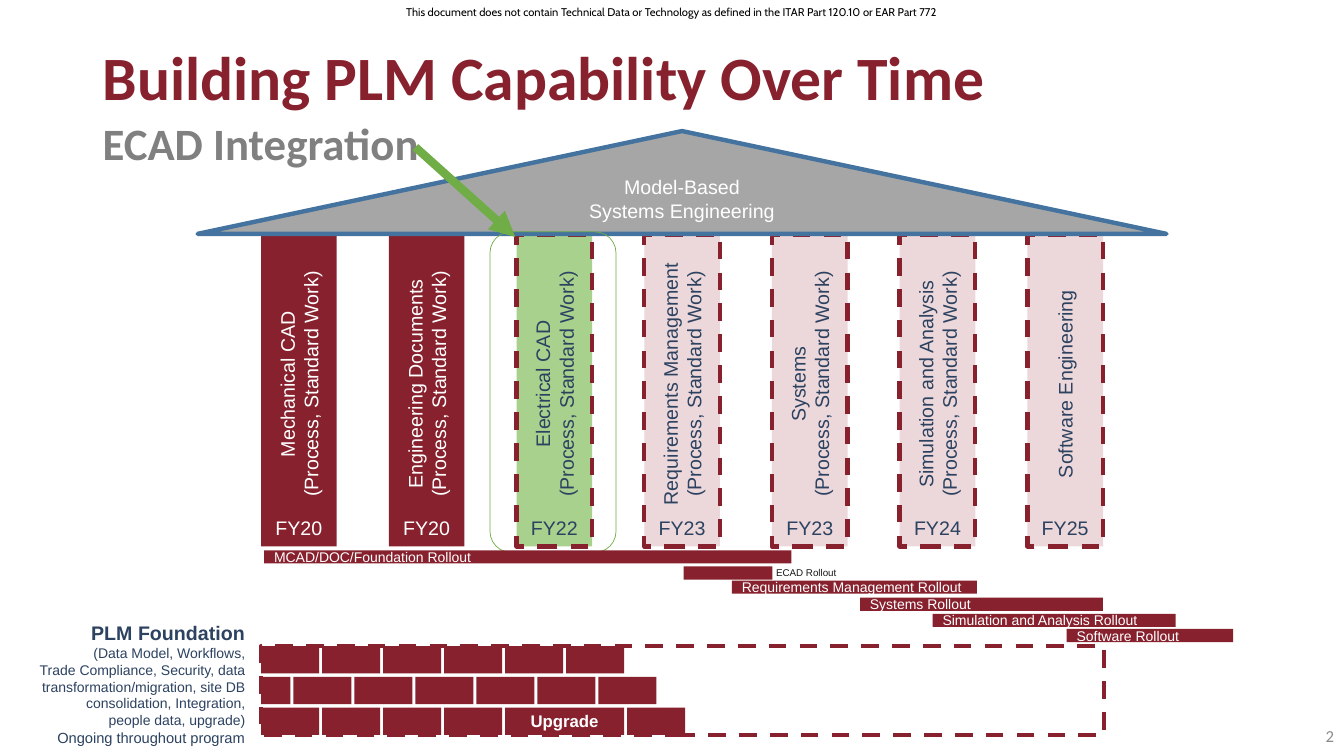
from lxml.etree import SubElement
from pptx import Presentation
from pptx.dml.color import RGBColor
from pptx.enum.dml import MSO_LINE
from pptx.enum.shapes import MSO_CONNECTOR, MSO_SHAPE
from pptx.enum.text import MSO_ANCHOR, MSO_AUTO_SIZE, PP_ALIGN
from pptx.oxml.ns import qn
from pptx.util import Inches, Pt

MAROON, NAVY, WHITE, PINK = "87212E", "2C4260", "FFFFFF", "ECD8DA"
GREEN, LIGHT_GREEN = "70AD47", "A9D18E"
LEFT, CENTER, RIGHT = PP_ALIGN.LEFT, PP_ALIGN.CENTER, PP_ALIGN.RIGHT
TOP, MIDDLE = MSO_ANCHOR.TOP, MSO_ANCHOR.MIDDLE

PROCESS = "(Process, Standard Work)"
PILLARS = [
    (["Mechanical CAD", PROCESS], "FY20", MAROON, WHITE, False),
    (["Engineering Documents", PROCESS], "FY20", MAROON, WHITE, False),
    (["Electrical CAD", PROCESS], "FY22", LIGHT_GREEN, NAVY, True),
    (["Requirements Management", PROCESS], "FY23", PINK, NAVY, True),
    (["Systems", PROCESS], "FY23", PINK, NAVY, True),
    (["Simulation and Analysis", PROCESS], "FY24", PINK, NAVY, True),
    (["Software Engineering"], "FY25", PINK, NAVY, True),
]
ROLLOUTS = [
    ("MCAD/DOC/Foundation Rollout", 0.03, 0, 5.23),
    ("", 4.19, 0.16, 0.88),
    ("Requirements Management Rollout", 4.67, 0.3, 2.43),
    ("Systems Rollout", 5.94, 0.47, 2.41),
    ("Simulation and Analysis Rollout", 6.66, 0.63, 2.41),
    ("Software Rollout", 7.99, 0.78, 1.65),
]
BRICK_COURSES = [[1] * 6, [0.53] + [1] * 6, [1] * 4 + [2, 1]]
FOUNDATION_SCOPE = """(Data Model, Workflows,
Trade Compliance, Security, data transformation/migration, site DB consolidation, Integration,
people data, upgrade)"""


def color(value):
    """Return the colour for a hex string."""
    return RGBColor.from_string(value)


def write(shape, lines, size, text_color, align=LEFT, anchor=TOP, font="Arial", bold=False):
    """Put one paragraph per line in a shape and format it."""
    frame = shape.text_frame
    frame.word_wrap = True
    frame.auto_size = MSO_AUTO_SIZE.NONE
    frame.vertical_anchor = anchor
    for index, line in enumerate(lines):
        paragraph = frame.add_paragraph() if index else frame.paragraphs[0]
        paragraph.text = line
        paragraph.alignment = align
        for run in paragraph.runs:
            run.font.size = Pt(size)
            run.font.name = font
            run.font.bold = bold
            run.font.color.rgb = color(text_color)
    return frame


def add_text(slide, box, lines, size, text_color, **style):
    """Add a text box at box and return it."""
    shape = slide.shapes.add_textbox(*map(Inches, box))
    write(shape, lines, size, text_color, **style)
    return shape


def add_block(slide, box, fill=None, line=None, width=3.15, dashed=False, kind=MSO_SHAPE.RECTANGLE):
    """Add a flat preset shape at box and return it."""
    shape = slide.shapes.add_shape(kind, *map(Inches, box))
    shape.shadow.inherit = False
    if fill:
        shape.fill.solid()
        shape.fill.fore_color.rgb = color(fill)
    else:
        shape.fill.background()
    if line:
        shape.line.color.rgb = color(line)
        shape.line.width = Pt(width)
        if dashed:
            shape.line.dash_style = MSO_LINE.DASH
    else:
        shape.line.fill.background()
    return shape


def add_headings(slide, left, top, width):
    """Place the title and the subtitle below it."""
    title = slide.shapes.title
    title.left, title.top, title.width, title.height = map(Inches, (left, top, width, 0.79))
    frame = write(title, ["Building PLM Capability Over Time"], 44, MAROON,
                  anchor=MIDDLE, font="Calibri", bold=True)
    frame.paragraphs[0].line_spacing = 0.9
    subtitle = add_text(slide, (left, top + 0.76, width, 0.61), ["ECAD Integration"],
                        32, "808080", font="Calibri", bold=True)
    subtitle.text_frame.paragraphs[0].line_spacing = 0.9


def add_roof(slide, box):
    """Draw the roof over the pillars."""
    roof = add_block(slide, box, "A6A6A6", "43739E", kind=MSO_SHAPE.ISOSCELES_TRIANGLE)
    frame = write(roof, ["Model-Based", "Systems Engineering"], 14, WHITE,
                  align=CENTER, anchor=MIDDLE)
    frame.margin_bottom = Inches(0.24)


def add_pillar(slide, box, label, year, fill, text_color, planned):
    """Draw one pillar with its upright label and its year."""
    left, top, width, height = box
    add_block(slide, box, fill, MAROON if planned else None, dashed=planned)
    label_width, label_height = 2.92, 0.57 if len(label) > 1 else 0.34
    label_box = (left + (width - label_width) / 2, top + 1.48 - label_height / 2,
                 label_width, label_height)
    add_text(slide, label_box, label, 14, text_color, align=CENTER).rotation = 270
    add_text(slide, (left + 0.02, top + 2.74, 0.71, 0.34), [year], 14, text_color, align=CENTER)


def add_pillars(slide, box):
    """Spread the pillars evenly over the box."""
    left, top, width, height = box
    pillar_width = 0.75
    pitch = (width - pillar_width) / (len(PILLARS) - 1)
    for index, pillar in enumerate(PILLARS):
        add_pillar(slide, (left + index * pitch, top, pillar_width, height), *pillar)


def add_rollouts(slide, left, top):
    """Draw the rollout bars as a staircase."""
    for name, offset, drop, width in ROLLOUTS:
        bar = add_block(slide, (left + offset, top + drop, width, 0.13), MAROON)
        if name:
            write(bar, [name], 10, WHITE, anchor=MIDDLE)
    add_text(slide, (left + 5.01, top + 0.11, 0.98, 0.22), ["ECAD Rollout"], 7, "181717")


def add_foundation(slide, box):
    """Draw the brick courses inside their dashed frame."""
    left, top, width, height = box
    unit, gap, brick_height = 3.63 / 6, 0.03, 0.27
    course_pitch = (height - brick_height) / (len(BRICK_COURSES) - 1)
    for row, course in enumerate(BRICK_COURSES):
        brick_left = left
        for units in course:
            brick_box = (brick_left, top + row * course_pitch, units * unit - gap, brick_height)
            brick = add_block(slide, brick_box, MAROON)
            if units == 2:
                write(brick, ["Upgrade"], 12, WHITE, align=CENTER, anchor=MIDDLE, bold=True)
            brick_left += units * unit
    add_block(slide, box, line=MAROON, dashed=True)


def add_foundation_note(slide, box):
    """Describe the foundation beside its bricks."""
    note = add_block(slide, box, WHITE)
    lines = ["PLM Foundation", FOUNDATION_SCOPE, "Ongoing throughout program"]
    frame = write(note, lines, 10, NAVY, align=RIGHT)
    for paragraph, size in zip(frame.paragraphs, (14, 10, 10.5)):
        for run in paragraph.runs:
            run.font.size = Pt(size)
    frame.paragraphs[0].runs[0].font.bold = True


def add_arrow(slide, start, end):
    """Draw the green arrow from start to end."""
    arrow = slide.shapes.add_connector(MSO_CONNECTOR.STRAIGHT, *map(Inches, start + end))
    arrow.line.color.rgb = color(GREEN)
    arrow.line.width = Pt(6)
    properties = arrow._element.spPr
    SubElement(properties.find(qn("a:ln")), qn("a:tailEnd"), type="triangle")
    SubElement(properties, qn("a:effectLst"))


def add_capability_slide(presentation):
    """Build the slide from its regions."""
    slide = presentation.slides.add_slide(presentation.slide_layouts[5])
    notice = ("This document does not contain Technical Data or Technology "
              "as defined in the ITAR Part 120.10 or EAR Part 772")
    add_text(slide, (0, 0, 13.33, 0.24), [notice], 8, "000000", align=CENTER, font="Cabin")
    add_headings(slide, 0.92, 0.4, 11.5)
    add_pillars(slide, (2.59, 2.33, 8.35, 3.09))
    add_roof(slide, (1.96, 1.3, 9.61, 1.02))
    add_foundation(slide, (2.59, 6.41, 8.36, 0.88))
    add_block(slide, (4.86, 2.3, 1.25, 3.18), line=GREEN, width=0.5,
              kind=MSO_SHAPE.ROUNDED_RECTANGLE)
    add_foundation_note(slide, (0, 6.11, 2.53, 1.35))
    add_rollouts(slide, 2.59, 5.46)
    add_text(slide, (10.33, 7.1, 3, 0.4), ["2"], 12, "8C8C8C",
             align=RIGHT, anchor=MIDDLE, font="Calibri")
    add_arrow(slide, (4.12, 1.46), (5.11, 2.35))


def main():
    """Create and save the presentation."""
    presentation = Presentation()
    presentation.slide_width, presentation.slide_height = Inches(13.33), Inches(7.5)
    add_capability_slide(presentation)
    presentation.save("out.pptx")


if __name__ == "__main__":
    main()
